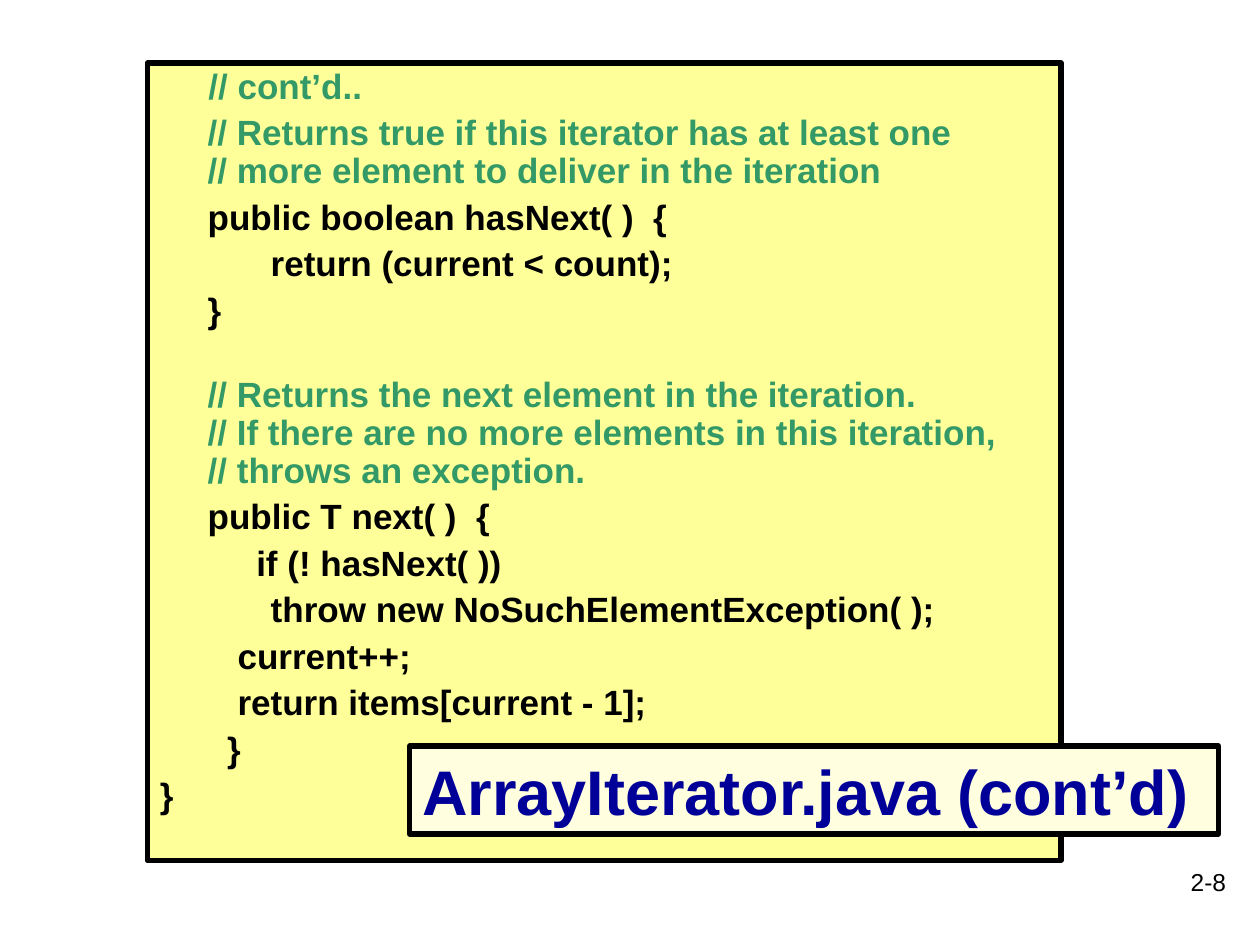
from lxml.etree import SubElement
from pptx import Presentation
from pptx.dml.color import RGBColor
from pptx.enum.shapes import MSO_SHAPE as SHAPE
from pptx.enum.text import MSO_ANCHOR as ANCHOR, PP_ALIGN as ALIGN
from pptx.oxml.ns import qn
from pptx.util import Inches, Pt

BLACK, GREEN, NAVY = "000000", "339966", "000099"
LINE_GAP, BLOCK_GAP = 5, 26.5

TITLE = "ArrayIterator.java (cont’d)"
PAGE = "2-8"
CODE = [
    ("     // cont’d..", GREEN, 0),
    (" \t// Returns true if this iterator has at least one\n"
     "// more element to deliver in the iteration", GREEN, LINE_GAP),
    ("\tpublic boolean hasNext( )  {", BLACK, LINE_GAP),
    ("      \treturn (current < count);", BLACK, LINE_GAP),
    ("   \t}", BLACK, LINE_GAP),
    ("\t// Returns the next element in the iteration.\n"
     "// If there are no more elements in this iteration,\n"
     "// throws an exception.", GREEN, BLOCK_GAP),
    ("\tpublic T next( )  {", BLACK, LINE_GAP),
    ("\t     if (! hasNext( ))", BLACK, LINE_GAP),
    ("        \tthrow new NoSuchElementException( );", BLACK, LINE_GAP),
    ("        current++;", BLACK, LINE_GAP),
    ("        return items[current - 1];", BLACK, LINE_GAP),
    ("\t  }", BLACK, LINE_GAP),
    ("}", BLACK, LINE_GAP),
]


def rgb(value):
    return RGBColor.from_string(value)


def write(p, text, size, color, bold=False, align=ALIGN.LEFT):
    p.text = text
    p.alignment = align
    for r in p.runs:
        r.font.name = "Arial"
        r.font.size = Pt(size)
        r.font.bold = bold
        r.font.color.rgb = rgb(color)


def frame(s, fill):
    s.fill.solid()
    s.fill.fore_color.rgb = rgb(fill)
    s.line.color.rgb = rgb(BLACK)
    s.line.width = Pt(3)
    s.text_frame.word_wrap = True
    s.text_frame.vertical_anchor = ANCHOR.TOP


def code_layout(p, gap):
    p.line_spacing = 0.9
    p.space_before = Pt(gap)
    pPr = p._p.get_or_add_pPr()
    pPr.set("marL", str(Inches(0.38)))
    pPr.set("indent", str(-Inches(0.38)))
    tabs = SubElement(pPr, qn("a:tabLst"))
    for inch in range(8):
        SubElement(tabs, qn("a:tab"), pos=str(Inches(inch)), algn="l")


prs = Presentation()
prs.slide_width, prs.slide_height = Inches(10), Inches(7.5)
slide = prs.slides.add_slide(prs.slide_layouts[5])
shapes = slide.shapes

code = shapes.add_shape(SHAPE.RECTANGLE, Inches(1.17), Inches(0.5),
                        Inches(7.25), Inches(6.33))
code.shadow.inherit = False
frame(code, "FFFF99")
tf = code.text_frame
for i, (text, color, gap) in enumerate(CODE):
    p = tf.add_paragraph() if i else tf.paragraphs[0]
    write(p, text, 20, color, bold=True)
    code_layout(p, gap)

title = shapes.title
title.left, title.top = Inches(3.25), Inches(5.92)
title.width, title.height = Inches(6.42), Inches(0.7)
frame(title, "FFFFDF")
write(title.text_frame.paragraphs[0], TITLE, 36, NAVY, bold=True)
code._element.addnext(title._element)

page = shapes.add_textbox(Inches(7.75), Inches(6.83), Inches(2.08), Inches(0.5))
page.text_frame.word_wrap = True
write(page.text_frame.paragraphs[0], PAGE, 14, BLACK, align=ALIGN.RIGHT)

prs.save("out.pptx")
